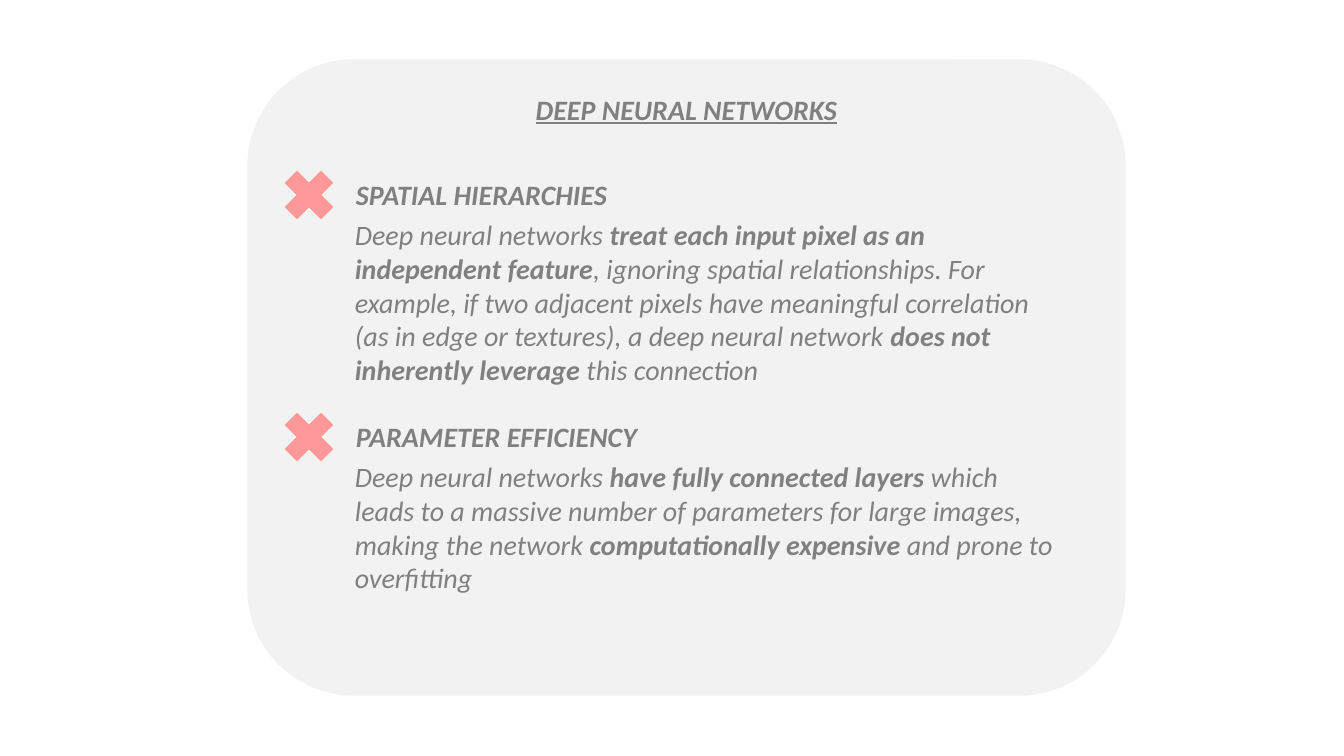
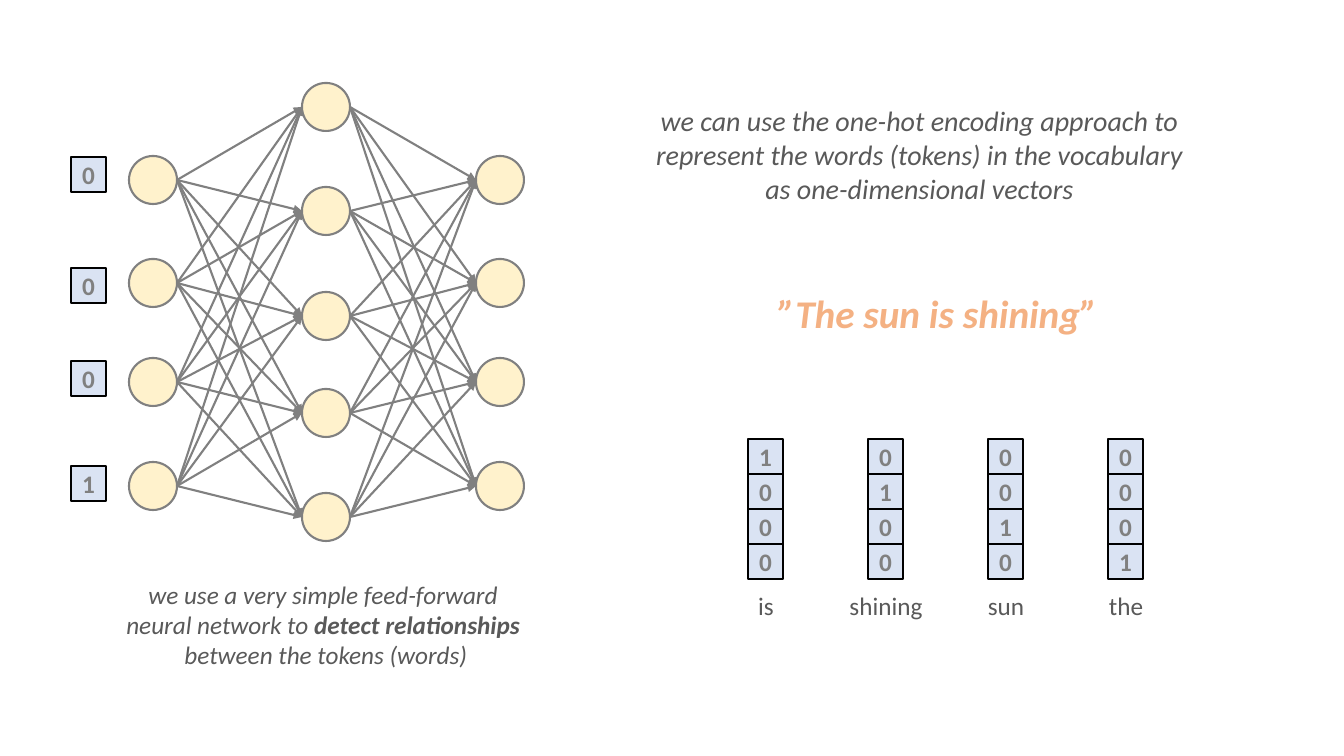
from pptx import Presentation
from pptx.dml.color import RGBColor as RGB
from pptx.enum.shapes import MSO_CONNECTOR as LINK, MSO_SHAPE as KIND
from pptx.enum.text import MSO_ANCHOR as ANCHOR, MSO_AUTO_SIZE as FIT, PP_ALIGN as ALIGN
from pptx.oxml.ns import qn
from pptx.util import Pt
from lxml import etree

PX = 914400 / 100.8
FONT = "Calibri"
GRAY = RGB(0x80, 0x80, 0x80)
DARK = RGB(0x59, 0x59, 0x59)
CARD = RGB(0xF2, 0xF2, 0xF2)
PINK = RGB(0xFF, 0x99, 0x99)
CREAM = RGB(0xFF, 0xF2, 0xCC)
BLUE = RGB(0xDA, 0xE3, 0xF3)
GOLD = RGB(0xF4, 0xB1, 0x83)
BLACK = RGB(0, 0, 0)


def write(shape, text, size=20, color=GRAY, bold=False, italic=False, under=False,
          align=ALIGN.LEFT, anchor=ANCHOR.TOP, wrap=True):
    """Fill a shape with text; each line is a paragraph, * switches bold."""
    frame = shape.text_frame
    frame.auto_size = FIT.NONE
    frame.word_wrap = wrap
    frame.vertical_anchor = anchor
    for row, line in enumerate(text.split("\n")):
        para = frame.add_paragraph() if row else frame.paragraphs[0]
        para.alignment = align
        for part, words in enumerate(line.split("*")):
            if words:
                run = para.add_run()
                run.text = words
                font = run.font
                font.name, font.size, font.color.rgb = FONT, Pt(size), color
                font.bold = bold or part % 2 == 1
                font.italic, font.underline = italic, under


def draw(slide, kind, box, fill, edge, width=1):
    """Add a filled preset shape, box in px."""
    shape = slide.shapes.add_shape(kind, *[round(n * PX) for n in box])
    shape.shadow.inherit = False
    shape.fill.solid()
    shape.fill.fore_color.rgb = fill
    shape.line.color.rgb = edge
    shape.line.width = Pt(width)
    return shape


deck = Presentation()
deck.slide_width, deck.slide_height = round(1344 * PX), round(756 * PX)

# Slide 1: card with its title
slide = deck.slides.add_slide(deck.slide_layouts[5])
title = slide.shapes.title
title.left, title.top, title.width, title.height = [round(n * PX) for n in (306, 87, 761, 44)]
write(title, "DEEP NEURAL NETWORKS", bold=True, italic=True, under=True, align=ALIGN.CENTER)
card = draw(slide, KIND.ROUNDED_RECTANGLE, (248, 60, 877, 635), CARD, CARD)
title._element.addprevious(card._element)

# Two drawbacks, each with a cross, a heading and a text
flaws = [
    ("SPATIAL HIERARCHIES",
     "Deep neural networks *treat each input pixel as an independent feature*, ignoring "
     "spatial relationships. For example, if two adjacent pixels have meaningful correlation "
     "(as in edge or textures), a deep neural network *does not inherently leverage* "
     "this connection"),
    ("PARAMETER EFFICIENCY",
     "Deep neural networks *have fully connected layers *which leads to a massive number of "
     "parameters for large images, making the network *computationally expensive *and prone "
     "to overfitting"),
]
for row, (head, body) in enumerate(flaws):
    top = 161 + 242 * row
    draw(slide, KIND.MATH_MULTIPLY, (275, top, 68, 68), PINK, PINK)
    for text, box, bold in ((head, (346, top + 12, 761, 44), True),
                            (body, (345, top + 52, 723, 179), False)):
        area = slide.shapes.add_textbox(*[round(n * PX) for n in box])
        write(area, text, bold=bold, italic=True)

# Slide 2: network nodes
slide = deck.slides.add_slide(deck.slide_layouts[6])
NODE = 48
outer = [156, 259, 358, 462]
inner = [83, 187, 292, 389, 493]
layers = [(129, outer), (302, inner), (476, outer)]
for left, tops in layers:
    for top in tops:
        draw(slide, KIND.OVAL, (left, top, NODE, NODE), CREAM, GRAY, 1.5)

# Arrows between neighbouring layers
for (left, tops), (right, ends) in zip(layers, layers[1:]):
    for top in tops:
        for end in ends:
            ray = (left + NODE, top + NODE // 2, right, end + NODE // 2)
            link = slide.shapes.add_connector(LINK.STRAIGHT, *[round(n * PX) for n in ray])
            link.line.color.rgb = GRAY
            link.line.width = Pt(1.5)
            etree.SubElement(link.line._get_or_add_ln(), qn("a:tailEnd"), type="triangle")
            etree.SubElement(link._element.spPr, qn("a:effectLst"))

# Input bits and one-hot vectors
CELL = 35
tokens = ["is", "shining", "sun", "the"]
cells = [(71, top, bit) for top, bit in zip((157, 268, 361, 466), "0001")]
cells += [(748 + 120 * col, 439 + CELL * row, str(int(row == col)))
          for col in range(len(tokens)) for row in range(len(tokens))]
for left, top, bit in cells:
    cell = draw(slide, KIND.RECTANGLE, (left, top, CELL, CELL), BLUE, BLACK)
    frame = cell.text_frame
    frame.margin_left = frame.margin_right = 0
    write(cell, bit, size=18, bold=True, align=ALIGN.CENTER, anchor=ANCHOR.MIDDLE)

# Captions, quote and token labels
notes = [
    ("we use a very simple feed-forward \nneural network to *detect relationships *\n"
     "between the tokens (words)", (114, 574, 424, 132), dict(size=18, italic=True)),
    ("we can use the one-hot encoding approach to\n"
     "represent the words (tokens) in the vocabulary\n"
     "as one-dimensional vectors", (642, 99, 555, 146), dict(italic=True)),
    ("”The sun is shining”", (766, 284, 343, 105),
     dict(size=28, color=GOLD, bold=True, italic=True)),
]
notes += [(word, (718 + 120 * col, 585, 96, 40), dict(size=18))
          for col, word in enumerate(tokens)]
for text, box, look in notes:
    area = slide.shapes.add_textbox(*[round(n * PX) for n in box])
    write(area, text, **{"color": DARK, "align": ALIGN.CENTER, "wrap": False, **look})

deck.save("out.pptx")
